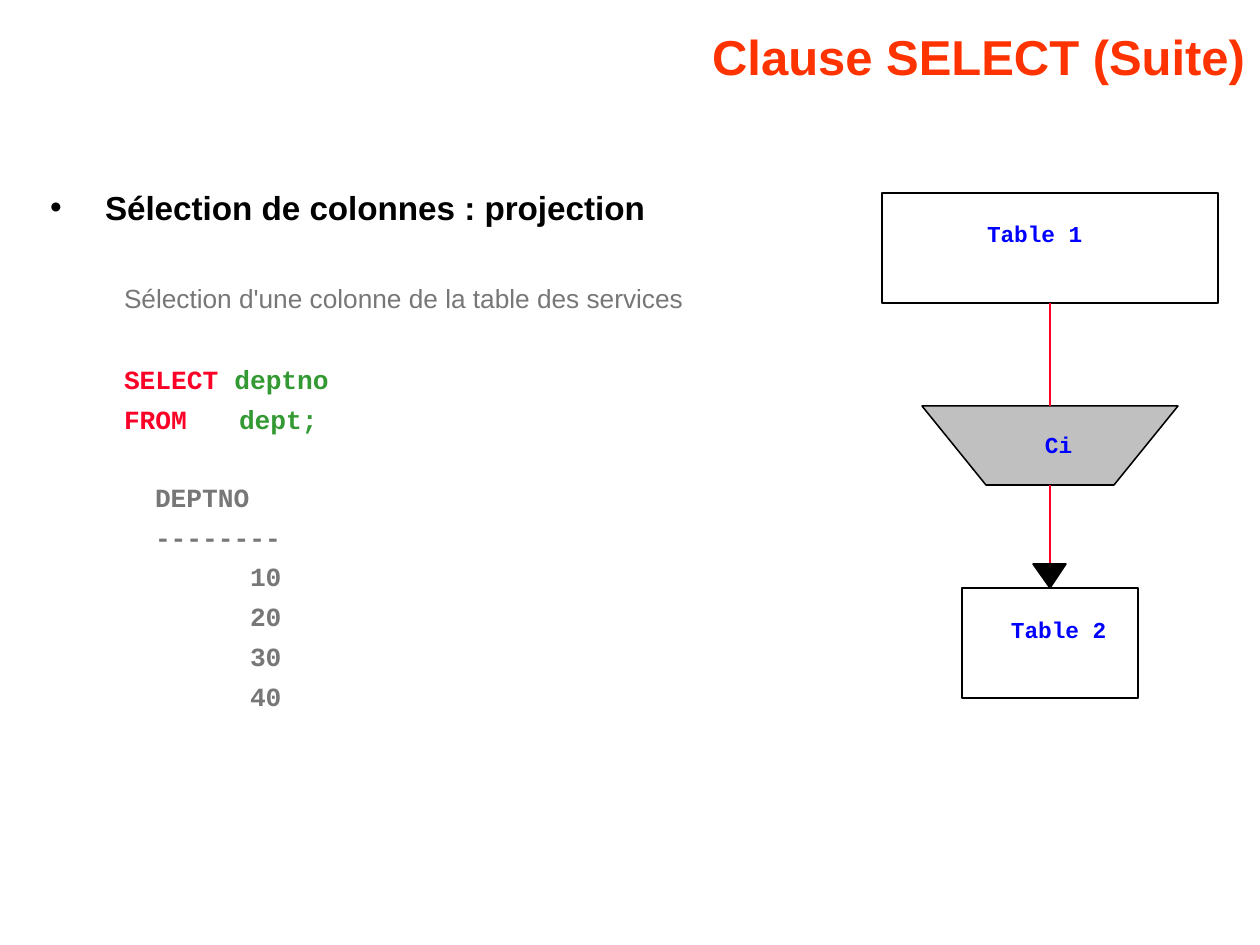
from dataclasses import dataclass

from lxml.etree import SubElement
from pptx import Presentation
from pptx.dml.color import RGBColor as RGB
from pptx.enum.shapes import MSO_CONNECTOR as CONN, MSO_SHAPE as SHAPE
from pptx.enum.text import MSO_ANCHOR as ANCHOR, MSO_AUTO_SIZE as AUTO, PP_ALIGN as ALIGN
from pptx.oxml.ns import qn
from pptx.util import Pt

PX = 914400 / 126


def px(n: float) -> int:
    return round(n * PX)


@dataclass(frozen=True)
class Theme:
    title: RGB = RGB(0xFF, 0x33, 0x00)
    black: RGB = RGB(0, 0, 0)
    white: RGB = RGB(0xFF, 0xFF, 0xFF)
    gray: RGB = RGB(0x77, 0x77, 0x77)
    operator: RGB = RGB(0xC0, 0xC0, 0xC0)
    keyword: RGB = RGB(0xFC, 0x01, 0x28)
    name: RGB = RGB(0x33, 0x99, 0x33)
    label: RGB = RGB(0, 0, 0xFF)
    sans: str = "Arial"
    mono: str = "Courier New"
    title_size: int = 28
    head_size: int = 19
    body_size: int = 15
    label_size: int = 13
    outline: float = 0.88
    link: float = 0.75


T = Theme()


@dataclass(frozen=True)
class Line:
    """One body paragraph; runs are (text, colour) pairs, before is in points."""
    runs: tuple
    before: float = 4.75
    margin: int = 0
    indent: int = 74
    level: int = 1
    size: int = T.body_size
    font: str = T.mono
    bold: bool = True
    bullet: str = ""
    tab: int = 0


@dataclass(frozen=True)
class Label:
    text: str
    left: int
    top: int
    width: int


BODY = [
    Line((("Sélection de colonnes : projection", T.black),), 0, 55, -55, 0,
         T.head_size, T.sans, bullet="•"),
    Line((("Sélection d'une colonne de la table des services", T.gray),), 31.4,
         font=T.sans, bold=False),
    Line((("SELECT ", T.keyword), ("deptno", T.name)), 28.5),
    Line((("FROM\t", T.keyword), ("dept;", T.name)), tab=184),
    Line((("DEPTNO", T.gray),), 26.5, indent=105),
    Line((("--------", T.gray),), indent=105),
    *(Line(((str(n), T.gray),), indent=200) for n in range(10, 50, 10)),
]
LABELS = [Label("Table 1", 987, 220, 118), Label("Table 2", 1011, 616, 96),
          Label("Ci", 1045, 431, 28)]


def add_run(p, text: str, *, size: int, color: RGB, font: str, bold: bool = True) -> None:
    r = p.add_run()
    r.text = text
    f = r.font
    f.size, f.name, f.bold = Pt(size), font, bold
    f.color.rgb = color


def place(sp, left: int, top: int, width: int, height: int) -> None:
    sp.left, sp.top, sp.width, sp.height = map(px, (left, top, width, height))


def set_frame(tf, side: int, top: int, wrap: bool = True) -> None:
    tf.auto_size, tf.word_wrap, tf.vertical_anchor = AUTO.NONE, wrap, ANCHOR.TOP
    tf.margin_left = tf.margin_right = px(side)
    tf.margin_top, tf.margin_bottom = px(top), 0


def add_line(p, line: Line) -> None:
    p.level, p.space_before, p.line_spacing = line.level, Pt(line.before), 1.0
    p.alignment = ALIGN.LEFT
    pPr = p._p.get_or_add_pPr()
    pPr.set("marL", str(px(line.margin)))
    pPr.set("indent", str(px(line.indent)))
    if line.bullet:
        SubElement(pPr, qn("a:buFont"), typeface=T.sans)
        SubElement(pPr, qn("a:buChar"), char=line.bullet)
    else:
        SubElement(pPr, qn("a:buNone"))
    if line.tab:
        tabs = SubElement(pPr, qn("a:tabLst"))
        SubElement(tabs, qn("a:tab"), pos=str(px(line.tab)), algn="l")
    for text, color in line.runs:
        add_run(p, text, size=line.size, color=color, font=line.font, bold=line.bold)


def paint(sp, fill: RGB) -> None:
    sp.shadow.inherit = False
    sp.fill.solid()
    sp.fill.fore_color.rgb = fill
    sp.line.color.rgb = T.black
    sp.line.width = Pt(T.outline)


def add_box(s, left: int, top: int, width: int, height: int):
    sp = s.shapes.add_shape(SHAPE.RECTANGLE, *map(px, (left, top, width, height)))
    paint(sp, T.white)
    return sp


def add_polygon(s, points: list, fill: RGB) -> None:
    fb = s.shapes.build_freeform(*points[0], scale=PX)
    fb.add_line_segments(points[1:], close=True)
    paint(fb.convert_to_shape(), fill)


def add_link(s, x: int, top: int, bottom: int):
    c = s.shapes.add_connector(CONN.STRAIGHT, px(x), px(top), px(x), px(bottom))
    c.line.color.rgb = T.keyword
    c.line.width = Pt(T.link)
    SubElement(c._element.spPr, qn("a:effectLst"))
    return c


def add_label(s, label: Label) -> None:
    box = s.shapes.add_textbox(*map(px, (label.left, label.top, label.width, 28)))
    set_frame(box.text_frame, 0, 0, wrap=False)
    add_run(box.text_frame.paragraphs[0], label.text, size=T.label_size,
            color=T.label, font=T.mono)


def main() -> None:
    prs = Presentation()
    prs.slide_width, prs.slide_height = px(1260), px(945)
    s = prs.slides.add_slide(prs.slide_layouts[1])

    title, body = s.shapes.title, s.placeholders[1]
    place(title, 173, 26, 1087, 106)
    set_frame(title.text_frame, 15, 0)
    p = title.text_frame.paragraphs[0]
    p.alignment = ALIGN.RIGHT
    add_run(p, "Clause SELECT (Suite)", size=T.title_size, color=T.title, font=T.sans)

    place(body, 35, 127, 784, 818)
    tf = body.text_frame
    set_frame(tf, 15, 60)
    for i, line in enumerate(BODY):
        add_line(tf.add_paragraph() if i else tf.paragraphs[0], line)

    source = add_box(s, 882, 193, 336, 110)
    result = add_box(s, 962, 588, 176, 110)
    add_polygon(s, [(922, 406), (1178, 406), (1114, 485), (986, 485)], T.operator)
    add_link(s, 1050, 303, 406).begin_connect(source, 2)
    add_link(s, 1050, 485, 588).end_connect(result, 0)
    add_polygon(s, [(1033, 564), (1050, 588), (1066, 564)], T.black)
    for label in LABELS:
        add_label(s, label)

    prs.save("out.pptx")


if __name__ == "__main__":
    main()
